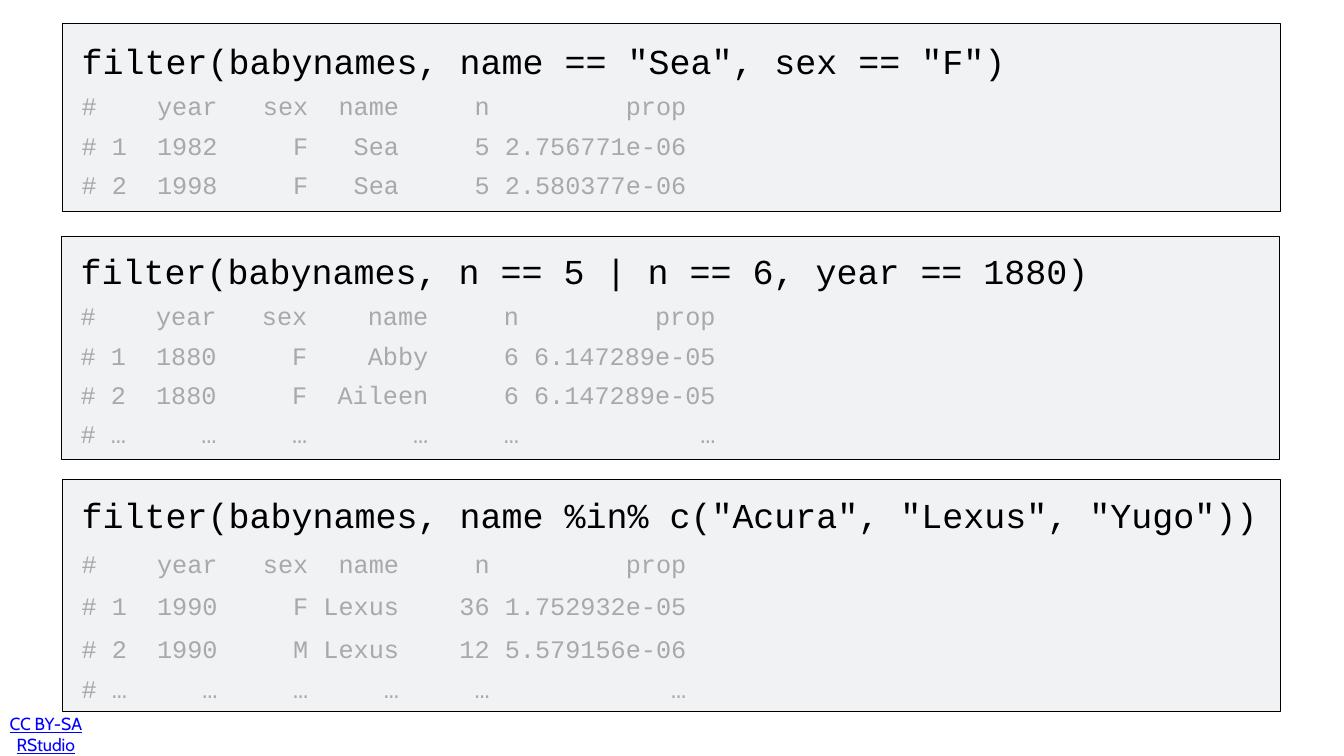
"""Build a slide with three filter() code examples and their output."""
from pptx import Presentation
from pptx.dml.color import RGBColor
from pptx.enum.shapes import MSO_SHAPE
from pptx.enum.text import MSO_ANCHOR, PP_ALIGN
from pptx.util import Cm, Pt

COLORS = {"panel": "F0F2F4", "line": "000000", "code": "000000",
          "output": "A6AAA9", "link": "0000FF"}
FOOTER = "CC BY-SA RStudio"
EXAMPLES = [
    {"left": 3.15, "top": 1.17, "height": 9.47, "pad": 0.33, "gaps": [10, 10, 10],
     "code": 'filter(babynames, name == "Sea", sex == "F")',
     "output": ["#    year   sex  name     n         prop",
                "# 1  1982     F   Sea     5 2.756771e-06",
                "# 2  1998     F   Sea     5 2.580377e-06"]},
    {"left": 3.1, "top": 11.89, "height": 11.25, "pad": 0.18, "gaps": [10, 10, 10, 10],
     "code": "filter(babynames, n == 5 | n == 6, year == 1880)",
     "output": ["#    year   sex    name     n         prop",
                "# 1  1880     F    Abby     6 6.147289e-05",
                "# 2  1880     F  Aileen     6 6.147289e-05",
                "# …     …     …       …     …            …"]},
    {"left": 3.15, "top": 24.18, "height": 11.66, "pad": 0.18, "gaps": [15, 15, 15, 10],
     "code": 'filter(babynames, name %in% c("Acura", "Lexus", "Yugo"))',
     "output": ["#    year   sex  name     n         prop",
                "# 1  1990     F Lexus    36 1.752932e-05",
                "# 2  1990     M Lexus    12 5.579156e-06",
                "# …     …     …     …     …            …"]},
]
PANEL_WIDTH, TEXT_WIDTH, TEXT_INDENT = 61.37, 60.68, 0.81


def rgb(name):
    return RGBColor.from_string(COLORS[name])


def add_run(p, text, size, font, color):
    r = p.add_run()
    r.text = text
    r.font.size = Pt(size)
    r.font.name = font
    r.font.color.rgb = rgb(color)
    return r


def add_text(s, left, top, width, height, inset, top_inset):
    tf = s.shapes.add_textbox(Cm(left), Cm(top), Cm(width), Cm(height)).text_frame
    tf.word_wrap = True
    tf.margin_left = tf.margin_right = tf.margin_bottom = Cm(inset)
    tf.margin_top = Cm(top_inset)
    return tf


def add_example(s, ex):
    sp = s.shapes.add_shape(MSO_SHAPE.RECTANGLE, Cm(ex["left"]), Cm(ex["top"]),
                            Cm(PANEL_WIDTH), Cm(ex["height"]))
    sp.shadow.inherit = False
    sp.fill.solid()
    sp.fill.fore_color.rgb = rgb("panel")
    sp.line.color.rgb = rgb("line")
    sp.line.width = Pt(1)

    tf = add_text(s, ex["left"] + TEXT_INDENT, ex["top"] + ex["pad"], TEXT_WIDTH,
                  ex["height"] - 2 * ex["pad"], 0.15, 0.35)
    p = tf.paragraphs[0]
    p.line_spacing = 1.07
    add_run(p, ex["code"], 50, "Courier New", "code")
    for gap, line in zip(ex["gaps"], ex["output"]):
        p = tf.add_paragraph()
        p.space_before = Pt(gap)
        p.line_spacing = 1.07
        add_run(p, line, 36, "Courier New", "output")


def main():
    prs = Presentation()
    prs.slide_width, prs.slide_height = Cm(67.74), Cm(38.1)
    s = prs.slides.add_slide(prs.slide_layouts[6])

    tf = add_text(s, 0.15, 36.22, 4.32, 1.52, 0.2, 0.2)
    tf.vertical_anchor = MSO_ANCHOR.MIDDLE
    p = tf.paragraphs[0]
    p.alignment = PP_ALIGN.CENTER
    add_run(p, FOOTER, 25, "Cabin", "link").font.underline = True

    for ex in EXAMPLES:
        add_example(s, ex)
    prs.save("out.pptx")


if __name__ == "__main__":
    main()
